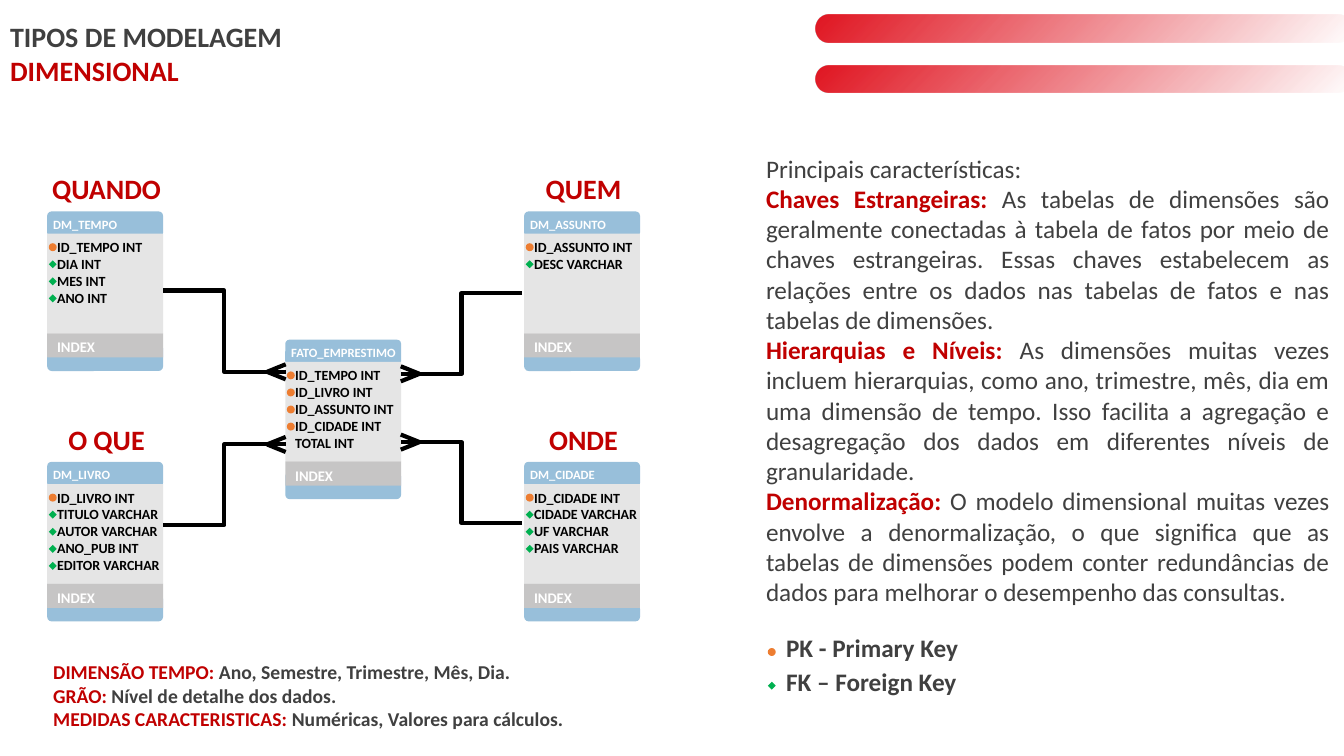
from lxml.etree import SubElement
from pptx import Presentation
from pptx.dml.color import RGBColor
from pptx.enum.shapes import MSO_CONNECTOR, MSO_SHAPE
from pptx.enum.text import MSO_ANCHOR, MSO_AUTO_SIZE, PP_ALIGN
from pptx.oxml import parse_xml
from pptx.oxml.ns import nsdecls, qn
from pptx.util import Cm, Pt

RED = RGBColor(0xC0, 0x00, 0x00)
DARK = RGBColor(0x40, 0x40, 0x40)
BLACK = RGBColor(0x00, 0x00, 0x00)
WHITE = RGBColor(0xFF, 0xFF, 0xFF)
BLUE = RGBColor(0x98, 0xBF, 0xDA)
PALE = RGBColor(0xE5, 0xE5, 0xE5)
GRAY = RGBColor(0xC6, 0xC5, 0xC5)
ORANGE = RGBColor(0xED, 0x7D, 0x31)
GREEN = RGBColor(0x00, 0xB0, 0x50)
BAR_RED = RGBColor(0xE1, 0x16, 0x22)

TITLE = [[("TIPOS DE MODELAGEM", DARK)], [("DIMENSIONAL", RED)]]
FEATURES = [
    [("Principais características:", DARK)],
    [("Chaves Estrangeiras: ", RED),
     ("As tabelas de dimensões são geralmente conectadas à tabela de fatos por meio de "
      "chaves estrangeiras. Essas chaves estabelecem as relações entre os dados nas "
      "tabelas de fatos e nas tabelas de dimensões.", DARK)],
    [("Hierarquias e Níveis: ", RED),
     ("As dimensões muitas vezes incluem hierarquias, como ano, trimestre, mês, dia em "
      "uma dimensão de tempo. Isso facilita a agregação e desagregação dos dados em "
      "diferentes níveis de granularidade.", DARK)],
    [("Denormalização: ", RED),
     ("O modelo dimensional muitas vezes envolve a denormalização, o que significa que as "
      "tabelas de dimensões podem conter redundâncias de dados para melhorar o desempenho "
      "das consultas.", DARK)],
]
SUMMARY = [
    [("DIMENSÃO TEMPO:", RED), (" Ano, Semestre, Trimestre, Mês, Dia.", DARK)],
    [("GRÃO:", RED), (" Nível de detalhe dos dados.", DARK)],
    [("MEDIDAS CARACTERISTICAS: ", RED), ("Numéricas, Valores para cálculos.", DARK)],
]
MARKERS = {"PK": (MSO_SHAPE.OVAL, ORANGE), "FK": (MSO_SHAPE.DIAMOND, GREEN)}
LEGEND = [("PK", "PK - Primary Key"), ("FK", "FK – Foreign Key")]
ENTITIES = [
    ("", "FATO_EMPRESTIMO", 7.19, 8.56,
     [("PK", "ID_TEMPO INT"), ("PK", "ID_LIVRO INT"), ("PK", "ID_ASSUNTO INT"),
      ("PK", "ID_CIDADE INT"), ("", "TOTAL INT")]),
    ("QUANDO", "DM_TEMPO", 1.19, 5.33,
     [("PK", "ID_TEMPO INT"), ("FK", "DIA INT"), ("FK", "MES INT"), ("FK", "ANO INT")]),
    ("O QUE", "DM_LIVRO", 1.19, 11.64,
     [("PK", "ID_LIVRO INT"), ("FK", "TITULO VARCHAR"), ("FK", "AUTOR VARCHAR"),
      ("FK", "ANO_PUB INT"), ("FK", "EDITOR VARCHAR")]),
    ("QUEM", "DM_ASSUNTO", 13.21, 5.33,
     [("PK", "ID_ASSUNTO INT"), ("FK", "DESC VARCHAR")]),
    ("ONDE", "DM_CIDADE", 13.21, 11.64,
     [("PK", "ID_CIDADE INT"), ("FK", "CIDADE VARCHAR"), ("FK", "UF VARCHAR"),
      ("FK", "PAIS VARCHAR")]),
]
RELATIONS = [
    (4.11, 7.32, 7.2, 9.37),
    (13.16, 7.39, 10.1, 9.42),
    (4.11, 13.23, 7.2, 11.2),
    (13.16, 13.18, 10.1, 11.14),
]
ENTITY_WIDTH = 2.92
ENTITY_PARTS = [
    (MSO_SHAPE.ROUNDED_RECTANGLE, BLUE, 0, 0.64),
    (MSO_SHAPE.ROUNDED_RECTANGLE, BLUE, 3.33, 0.69),
    (MSO_SHAPE.RECTANGLE, PALE, 0.56, 2.51),
    (MSO_SHAPE.RECTANGLE, GRAY, 3.07, 0.61),
]
ROW_HEIGHT = 0.43
FOOT_LENGTH, FOOT_SPREAD = 0.47, 0.19


def write(shape, lines, size, bold=True, align=PP_ALIGN.LEFT,
          anchor=MSO_ANCHOR.TOP, plain_list=False):
    frame = shape.text_frame
    frame.word_wrap = True
    frame.auto_size = MSO_AUTO_SIZE.NONE
    frame.vertical_anchor = anchor
    for index, line in enumerate(lines):
        paragraph = frame.add_paragraph() if index else frame.paragraphs[0]
        if plain_list:
            properties = paragraph._p.get_or_add_pPr()
            properties.set("marL", "0")
            properties.set("indent", "0")
            SubElement(properties, qn("a:buNone"))
        paragraph.alignment = align
        paragraph.space_before = Pt(0)
        paragraph.font.name = "Calibri"
        paragraph.font.size = Pt(size)
        if bold or len(line) == 1:
            paragraph.font.bold = bold
        if len(line) == 1:
            paragraph.font.color.rgb = line[0][1]
        for text, color in line:
            run = paragraph.add_run()
            run.text = text
            if len(line) > 1:
                run.font.color.rgb = color
                if not bold:
                    run.font.bold = color == RED


def place(shape, left, top, width, height):
    shape.left, shape.top = Cm(left), Cm(top)
    shape.width, shape.height = Cm(width), Cm(height)


def add_text(slide, left, top, width, height, lines, size):
    box = slide.shapes.add_textbox(Cm(left), Cm(top), Cm(width), Cm(height))
    write(box, lines, size)


def add_block(slide, kind, color, left, top, width, height):
    shape = slide.shapes.add_shape(kind, Cm(left), Cm(top), Cm(width), Cm(height))
    shape.shadow.inherit = False
    shape.line.fill.background()
    if color is not None:
        shape.fill.solid()
        shape.fill.fore_color.rgb = color
    return shape


def add_marker(slide, key, left, top):
    kind, color = MARKERS[key]
    add_block(slide, kind, color, left, top, 0.2, 0.2)


def add_fading_bar(slide, top):
    bar = add_block(slide, MSO_SHAPE.ROUNDED_RECTANGLE, None, 20.55, top, 13.51, 0.69)
    bar.adjustments[0] = 0.5
    stops = "".join(
        f'<a:gs pos="{level}000"><a:srgbClr val="{BAR_RED}">'
        f'<a:alpha val="{level}000"/></a:srgbClr></a:gs>'
        for level in range(0, 101, 25))
    gradient = parse_xml(
        f'<a:gradFill {nsdecls("a")} rotWithShape="1"><a:gsLst>{stops}</a:gsLst>'
        '<a:path path="circle"><a:fillToRect l="100000" t="100000"/></a:path></a:gradFill>')
    bar._element.spPr.insert(2, gradient)


def add_line(slide, kind, start_x, start_y, end_x, end_y):
    line = slide.shapes.add_connector(kind, Cm(start_x), Cm(start_y), Cm(end_x), Cm(end_y))
    line.line.color.rgb = BLACK
    line.line.width = Pt(3)
    SubElement(line._element.spPr, qn("a:effectLst"))


def add_entity(slide, caption, name, left, top, rows):
    for kind, color, offset, height in ENTITY_PARTS:
        add_block(slide, kind, color, left, top + offset, ENTITY_WIDTH, height)
    add_text(slide, left, top + 0.56, 3.2, 2.4, [[(text, BLACK)] for key, text in rows], 10)
    add_text(slide, left, top + 3.07, ENTITY_WIDTH, 0.74, [[("INDEX", WHITE)]], 10.5)
    add_text(slide, left - 0.1, top, 3.2, 0.64, [[(name, WHITE)]], 9)
    for index, (key, text) in enumerate(rows):
        if key:
            add_marker(slide, key, left + 0.04, top + 0.8 + index * ROW_HEIGHT)
    if caption:
        label = add_block(slide, MSO_SHAPE.RECTANGLE, WHITE, left - 0.5, top - 1.14, 3.99, 1.12)
        write(label, [[(caption, RED)]], 20, align=PP_ALIGN.CENTER, anchor=MSO_ANCHOR.MIDDLE)


def add_relation(slide, start_x, start_y, end_x, end_y):
    add_line(slide, MSO_CONNECTOR.ELBOW, start_x, start_y, end_x, end_y)
    tip_x = end_x + (FOOT_LENGTH if start_x > end_x else -FOOT_LENGTH)
    for spread in (-FOOT_SPREAD, FOOT_SPREAD):
        add_line(slide, MSO_CONNECTOR.STRAIGHT, tip_x, end_y, end_x, end_y + spread)


def main():
    presentation = Presentation()
    presentation.slide_width, presentation.slide_height = Cm(33.87), Cm(19.05)
    slide = presentation.slides.add_slide(presentation.slide_layouts[1])
    title, body = slide.placeholders
    place(title, 0, 0.36, 20.55, 1.96)
    write(title, TITLE, 20, anchor=MSO_ANCHOR.MIDDLE)
    place(body, 19.05, 3.73, 14.71, 11.79)
    write(body, FEATURES, 18, bold=False, align=PP_ALIGN.JUSTIFY, plain_list=True)
    for top in (0.38, 1.65):
        add_fading_bar(slide, top)
    for entity in ENTITIES:
        add_entity(slide, *entity)
    for relation in RELATIONS:
        add_relation(slide, *relation)
    add_text(slide, 1.09, 16.51, 15.04, 2.06, SUMMARY, 14)
    for index, (key, text) in enumerate(LEGEND):
        top = 15.82 + index * 0.85
        add_marker(slide, key, 19.35, top + 0.51)
        add_text(slide, 19.56, top, 5.77, 1.02, [[(text, DARK)]], 18)
    presentation.save("out.pptx")


if __name__ == "__main__":
    main()
